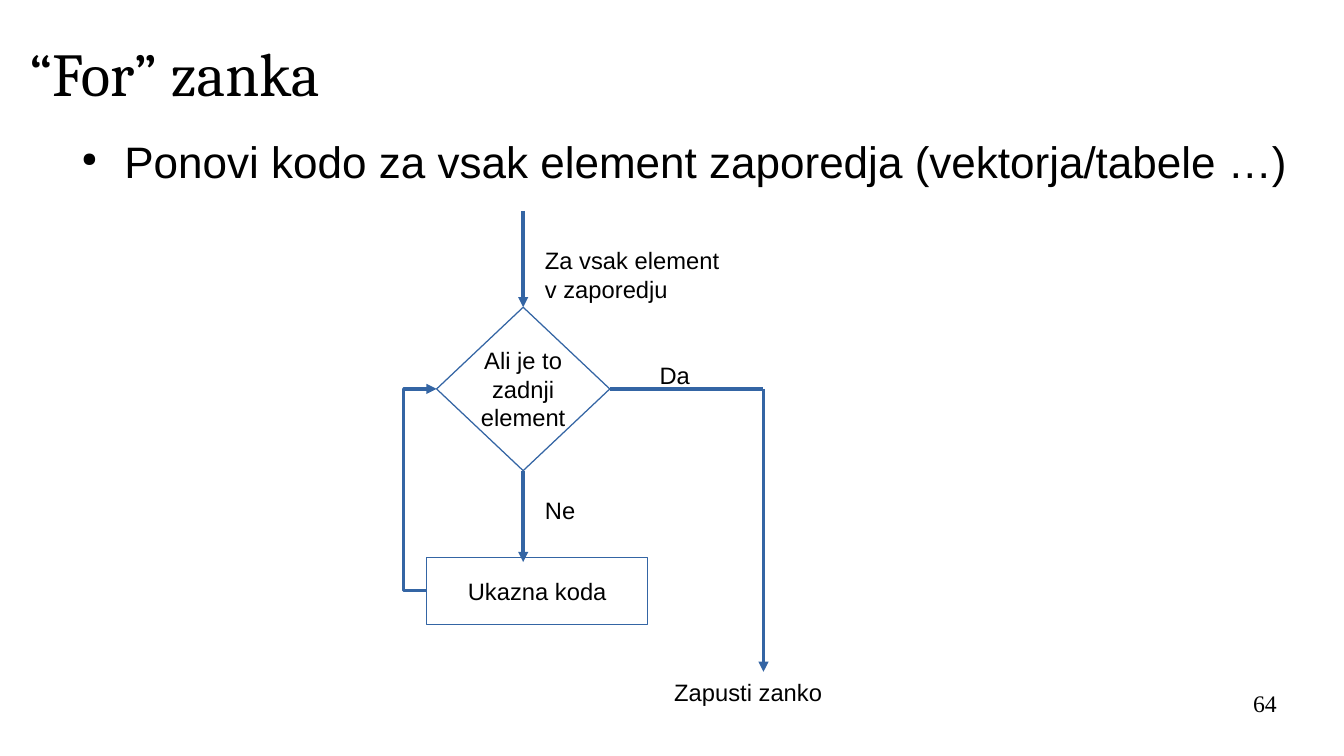
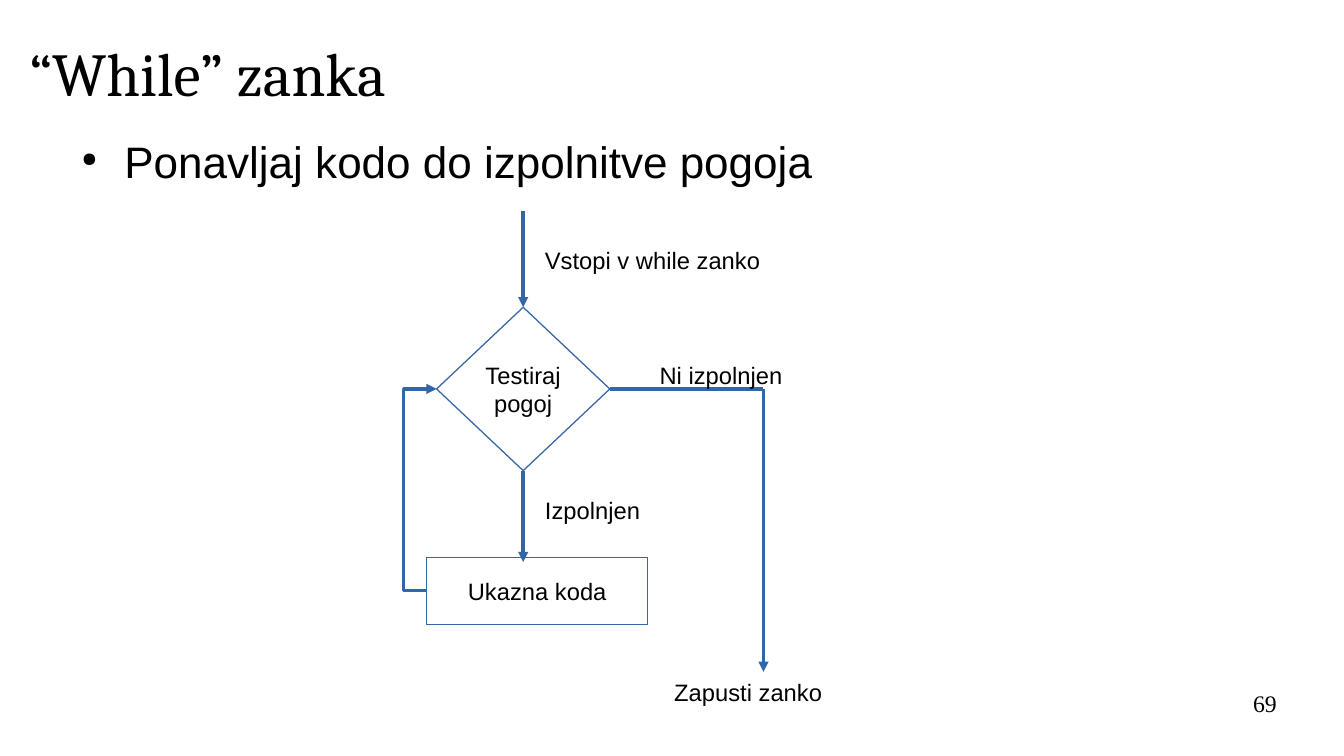
from lxml import etree
from pptx import Presentation
from pptx.dml.color import RGBColor
from pptx.enum.shapes import MSO_CONNECTOR, MSO_SHAPE
from pptx.enum.text import MSO_ANCHOR, MSO_AUTO_SIZE, PP_ALIGN
from pptx.oxml.ns import qn
from pptx.util import Inches, Pt

STRAIGHT, ELBOW = MSO_CONNECTOR.STRAIGHT, MSO_CONNECTOR.ELBOW
DIAMOND, RECTANGLE = MSO_SHAPE.DIAMOND, MSO_SHAPE.RECTANGLE
TOP, MIDDLE = MSO_ANCHOR.TOP, MSO_ANCHOR.MIDDLE
LEFT, CENTER, RIGHT = PP_ALIGN.LEFT, PP_ALIGN.CENTER, PP_ALIGN.RIGHT
NO_AUTOFIT = MSO_AUTO_SIZE.NONE
TITLE_ONLY = 5
SITE_TOP, SITE_BOTTOM, SITE_RIGHT = 0, 2, 3

COLORS = {"text": "000000", "line": "3465A4", "background": "FFFFFF"}
LABEL_INSETS = (0.1, 0.05)
AXIS_X, DECISION_Y, EXIT_X = 4.29, 3.19, 6.26
DECISION_WIDTH, DECISION_HEIGHT = 1.42, 1.34
CODE_LEFT, CODE_TOP, CODE_WIDTH, CODE_HEIGHT = 3.5, 4.57, 1.81, 0.55
LOOP_X = 3.31

SLIDES = [
    {
        "title": "“For” zanka",
        "bullet": "Ponovi kodo za vsak element zaporedja (vektorja/tabele …)",
        "entry": "Za vsak element\nv zaporedju",
        "decision": "Ali je to\nzadnji\nelement",
        "repeat": ("Ne", 0.55),
        "leave": ("Da", 0.55),
        "number": "64",
    },
    {
        "title": "“While” zanka",
        "bullet": "Ponavljaj kodo do izpolnitve pogoja",
        "entry": "Vstopi v while zanko",
        "decision": "Testiraj\npogoj",
        "repeat": ("Izpolnjen", 0.98),
        "leave": ("Ni izpolnjen", 1.3),
        "number": "69",
    },
]


def color(name):
    """Return a palette colour."""
    return RGBColor.from_string(COLORS[name])


def write_text(shape, text, size=14, font="Arial", align=LEFT, anchor=TOP,
               insets=LABEL_INSETS, wrap=True, bullet=False):
    """Put one formatted paragraph in a shape and return it."""
    frame = shape.text_frame
    frame.auto_size = NO_AUTOFIT
    frame.word_wrap = wrap
    frame.vertical_anchor = anchor
    frame.margin_left = frame.margin_right = Inches(insets[0])
    frame.margin_top = frame.margin_bottom = Inches(insets[1])
    paragraph = frame.paragraphs[0]
    paragraph.text = text
    paragraph.alignment = align
    if bullet:
        add_bullet(paragraph)
    paragraph.font.size = Pt(size)
    paragraph.font.name = font
    paragraph.font.color.rgb = color("text")


def add_bullet(paragraph):
    """Give a paragraph a small round bullet and a hanging indent."""
    properties = paragraph._p.get_or_add_pPr()
    properties.set("marL", str(Inches(0.47)))
    properties.set("indent", str(Inches(-0.35)))
    bullet_color = etree.SubElement(properties, qn("a:buClr"))
    etree.SubElement(bullet_color, qn("a:srgbClr"), val=COLORS["text"])
    etree.SubElement(properties, qn("a:buSzPct"), val="45000")
    etree.SubElement(properties, qn("a:buChar"), char="●")


def add_title(slide, text):
    """Place and format the title placeholder."""
    title = slide.shapes.title
    title.left, title.top = Inches(0.24), Inches(0.15)
    title.width, title.height = Inches(9.92), Inches(0.88)
    write_text(title, text, size=36, font="Cambria", anchor=MIDDLE,
               insets=(0, 0))


def add_label(slide, text, left, top, width, height=0.32, filled=False,
              **text_format):
    """Add a text box, with a white background if filled."""
    label = slide.shapes.add_textbox(
        Inches(left), Inches(top), Inches(width), Inches(height))
    if filled:
        label.fill.solid()
        label.fill.fore_color.rgb = color("background")
    write_text(label, text, **text_format)


def add_node(slide, kind, text, left, top, width, height):
    """Add an outlined flowchart node with centred text."""
    node = slide.shapes.add_shape(
        kind, Inches(left), Inches(top), Inches(width), Inches(height))
    node.shadow.inherit = False
    node.fill.background()
    node.line.color.rgb = color("line")
    node.line.width = Pt(0)
    write_text(node, text, align=CENTER, anchor=MIDDLE, wrap=False)
    return node


def add_line(slide, start, end, kind=STRAIGHT, arrow=True):
    """Add a hairline connector, with an arrowhead at its end if asked."""
    points = [Inches(value) for value in (*start, *end)]
    connector = slide.shapes.add_connector(kind, *points)
    connector.line.color.rgb = color("line")
    connector.line.width = Pt(0)
    properties = connector._element.spPr
    if arrow:
        outline = properties.find(qn("a:ln"))
        etree.SubElement(outline, qn("a:tailEnd"), type="triangle")
    etree.SubElement(properties, qn("a:effectLst"))
    return connector


def add_loop_back(slide, start, end, bend_x):
    """Add an elbow arrow whose vertical part runs at bend_x."""
    connector = add_line(slide, start, end, kind=ELBOW)
    geometry = connector._element.spPr.find(qn("a:prstGeom"))
    adjustments = geometry.find(qn("a:avLst"))
    if adjustments is None:
        adjustments = etree.SubElement(geometry, qn("a:avLst"))
    share = round((bend_x - start[0]) / (end[0] - start[0]) * 100000)
    etree.SubElement(adjustments, qn("a:gd"), name="adj1", fmla=f"val {share}")


def add_flowchart(slide, content):
    """Draw the loop flowchart with its labels."""
    decision_left = AXIS_X - DECISION_WIDTH / 2
    decision_right = AXIS_X + DECISION_WIDTH / 2
    decision_top = DECISION_Y - DECISION_HEIGHT / 2
    decision_bottom = DECISION_Y + DECISION_HEIGHT / 2

    add_label(slide, content["entry"], 4.37, 1.97, 2.36, 0.7, filled=True)
    entry = add_line(slide, (AXIS_X, 1.73), (AXIS_X, decision_top))
    decision = add_node(slide, DIAMOND, content["decision"], decision_left,
                        decision_top, DECISION_WIDTH, DECISION_HEIGHT)
    entry.end_connect(decision, SITE_TOP)

    repeat = add_line(slide, (AXIS_X, decision_bottom), (AXIS_X, 4.61))
    repeat.begin_connect(decision, SITE_BOTTOM)
    repeat_text, repeat_width = content["repeat"]
    add_label(slide, repeat_text, 4.37, 4.02, repeat_width, filled=True)
    add_node(slide, RECTANGLE, "Ukazna koda", CODE_LEFT, CODE_TOP,
             CODE_WIDTH, CODE_HEIGHT)
    add_loop_back(slide, (CODE_LEFT, CODE_TOP + CODE_HEIGHT / 2),
                  (decision_left, DECISION_Y), LOOP_X)

    leave = add_line(slide, (decision_right, DECISION_Y),
                     (EXIT_X, DECISION_Y), arrow=False)
    leave.begin_connect(decision, SITE_RIGHT)
    add_line(slide, (EXIT_X, DECISION_Y), (EXIT_X, 5.51))
    leave_text, leave_width = content["leave"]
    add_label(slide, leave_text, 5.31, 2.91, leave_width)
    add_label(slide, "Zapusti zanko", 5.43, 5.51, 1.89)


def build_slide(presentation, content):
    """Add one slide about a kind of loop."""
    layout = presentation.slide_layouts[TITLE_ONLY]
    slide = presentation.slides.add_slide(layout)
    add_title(slide, content["title"])
    add_label(slide, content["bullet"], 0.55, 1.1, 10.39, 0.5, size=26,
              insets=(0, 0), bullet=True)
    add_flowchart(slide, content)
    add_label(slide, content["number"], 7.9, 5.65, 2.57, 0.43, insets=(0, 0),
              font="Times New Roman", align=RIGHT)


def main():
    """Build and save the presentation."""
    presentation = Presentation()
    presentation.slide_width = Inches(11.02)
    presentation.slide_height = Inches(6.2)
    for content in SLIDES:
        build_slide(presentation, content)
    presentation.save("out.pptx")


if __name__ == "__main__":
    main()
